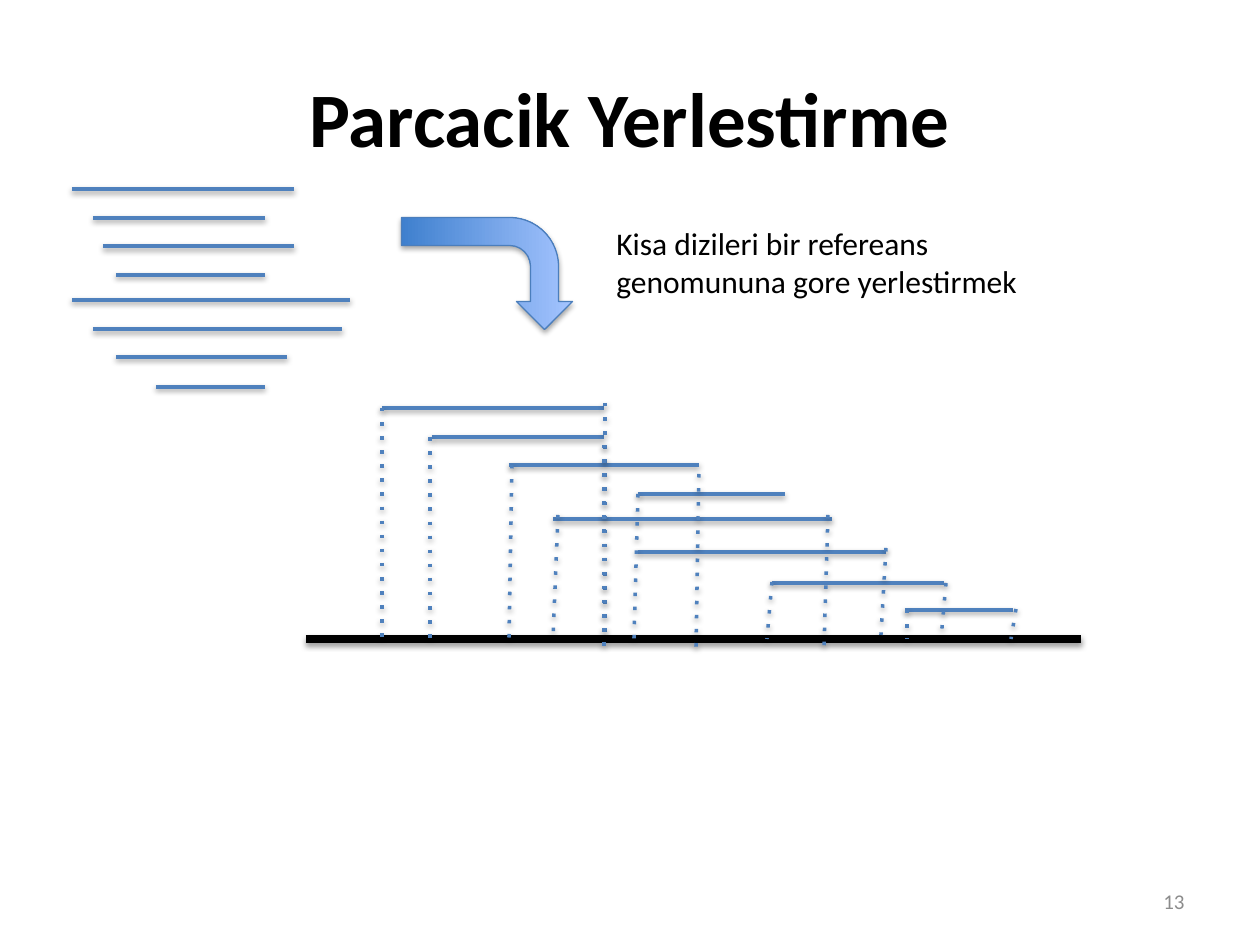
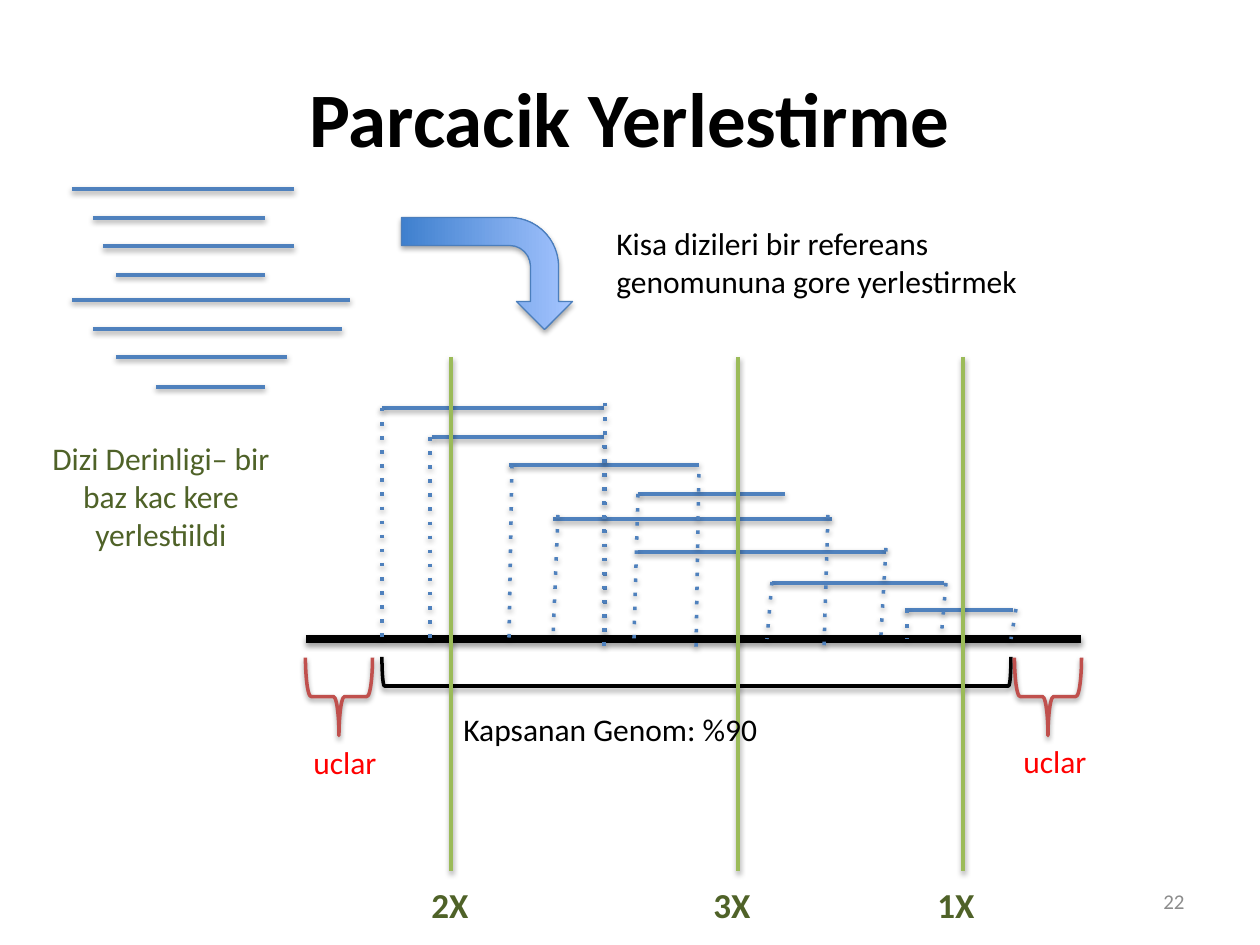
"""Build two slides on placing short reads on a reference genome."""
from dataclasses import dataclass

from lxml import etree
from pptx import Presentation
from pptx import util as u
from pptx.dml.color import RGBColor
from pptx.enum import shapes, text
from pptx.oxml import parse_xml
from pptx.oxml.ns import nsdecls, qn


@dataclass(frozen=True)
class Theme:
    font: str = "Calibri"
    black: str = "000000"
    read: str = "4F81BD"
    depth: str = "9BBB59"
    depth_text: str = "4F6228"
    end: str = "C0504D"
    end_text: str = "FF0000"
    number: str = "8C8C8C"
    arrow_from: str = "3F80CE"
    arrow_to: str = "A4C4FF"
    arrow_line: str = "4B7EBC"
    title_size: int = 44
    depth_size: int = 20
    body_size: int = 18
    number_size: int = 12
    thin: float = 0.75
    line: float = 2
    thick: float = 4.5


theme = Theme()
PIXEL = u.Inches(1) / 126
ALIGN = text.PP_ALIGN
ANCHOR = text.MSO_ANCHOR
SHAPE = shapes.MSO_SHAPE


def write(page, words, at, box=None, size=theme.body_size, color=theme.black,
          bold=False, align=ALIGN.LEFT, anchor=ANCHOR.TOP):
    place = [round(v * PIXEL) for v in at]
    if box is None:
        box = page.shapes.add_textbox(*place)
    box.left, box.top, box.width, box.height = place
    frame = box.text_frame
    frame.word_wrap = True
    frame.auto_size = text.MSO_AUTO_SIZE.NONE
    frame.vertical_anchor = anchor
    para = frame.paragraphs[0]
    para.alignment = align
    span = para.add_run()
    span.text = words
    span.font.name = theme.font
    span.font.size = u.Pt(size)
    span.font.bold = bold
    span.font.color.rgb = RGBColor.from_string(color)


def draw(parent, at, kind=None, turn=0, color=theme.read, width=theme.line, dotted=False,
         shade=38, drop=20000):
    place = [round(v * PIXEL) for v in at]
    if kind is None:
        item = parent.shapes.add_connector(shapes.MSO_CONNECTOR.STRAIGHT, *place)
    else:
        item = parent.shapes.add_shape(kind, *place)
        item.rotation = turn
        item.fill.background()
        item.shadow.inherit = False
    item.line.color.rgb = RGBColor.from_string(color)
    item.line.width = u.Pt(width)
    props = item.element.spPr
    if dotted:
        etree.SubElement(props.find(qn("a:ln")), qn("a:prstDash"), val="dot")
    for effect in props.findall(qn("a:effectLst")):
        props.remove(effect)
    props.append(parse_xml(
        f'<a:effectLst {nsdecls("a")}><a:outerShdw blurRad="40000" dist="{drop}" dir="5400000" '
        f'rotWithShape="0"><a:srgbClr val="{theme.black}"><a:alpha val="{shade * 1000}"/>'
        '</a:srgbClr></a:outerShdw></a:effectLst>'))
    return item


loose_reads = [
    (93, 265, 218), (72, 294, 189), (116, 265, 275), (103, 294, 246),
    (93, 342, 329), (72, 350, 300), (156, 265, 387), (116, 287, 357),
]
placed_reads = [
    (432, 604, 437), (382, 604, 408), (638, 785, 494), (509, 699, 465),
    (638, 886, 552), (553, 832, 519), (905, 1013, 610), (772, 944, 583),
]
drop_lines = [
    (382, 408, 382, 639), (605, 403, 605, 635), (430, 437, 430, 639), (604, 445, 604, 648),
    (512, 465, 509, 639), (699, 474, 696, 648), (638, 494, 634, 639), (828, 515, 824, 648),
    (558, 515, 553, 639), (886, 548, 881, 635), (772, 582, 767, 639), (946, 583, 941, 639),
    (907, 610, 907, 639), (1016, 609, 1011, 639),
]
depths = [("2X", 451, 396), ("3X", 738, 678), ("1X", 963, 902)]
ends = [(300, 301, 737), (1009, 1011, 736)]

deck = Presentation()
deck.slide_width, deck.slide_height = u.Inches(10), u.Inches(7.5)

for number, detailed in (("13", False), ("22", True)):
    page = deck.slides.add_slide(deck.slide_layouts[5])
    write(page, "Parcacik Yerlestirme", (63, 38, 1134, 158), box=page.shapes.title,
          size=theme.title_size, bold=True, align=ALIGN.CENTER, anchor=ANCHOR.MIDDLE)

    loose = page.shapes.add_group_shape()
    for left, right, y in loose_reads:
        draw(loose, (left, y, right, y))

    genome = page.shapes.add_group_shape()
    draw(genome, (306, 639, 1081, 639), color=theme.black, width=theme.thick)
    for left, right, y in placed_reads:
        draw(genome, (left, y, right, y))
    for ends_at in drop_lines:
        draw(genome, ends_at, dotted=True)

    arrow = draw(page, (431, 188, 112, 171), kind=SHAPE.BENT_ARROW, turn=90,
                 color=theme.arrow_line, width=theme.thin, shade=35, drop=23000)
    arrow.fill.gradient()
    arrow.fill.gradient_angle = 90
    for stop, position, color in zip(arrow.fill.gradient_stops, (0, 1),
                                     (theme.arrow_from, theme.arrow_to)):
        stop.position = position
        stop.color.rgb = RGBColor.from_string(color)

    if detailed:
        draw(genome, (682, 357, 29, 629), kind=SHAPE.LEFT_BRACKET, turn=270, color=theme.black)
        for brace_left, label_left, label_top in ends:
            draw(genome, (brace_left, 663, 78, 67), kind=SHAPE.LEFT_BRACE, turn=270,
                 color=theme.end)
            write(page, "uclar", (label_left, label_top, 151, 50), color=theme.end_text)
        write(page, "Dizi Derinligi– bir baz kac kere yerlestiildi", (35, 433, 252, 127),
              color=theme.depth_text, align=ALIGN.CENTER)
        for label, x, label_left in depths:
            draw(page, (x, 357, x, 871), color=theme.depth)
            write(page, label, (label_left, 877, 108, 55), size=theme.depth_size,
                  color=theme.depth_text, bold=True, align=ALIGN.CENTER)
        write(page, "Kapsanan Genom: %90", (451, 704, 430, 50))

    write(page, "Kisa dizileri bir refereans genomununa gore yerlestirmek", (604, 218, 456, 89))
    write(page, number, (903, 876, 294, 50), size=theme.number_size, color=theme.number,
          align=ALIGN.RIGHT, anchor=ANCHOR.MIDDLE)

deck.save("out.pptx")
